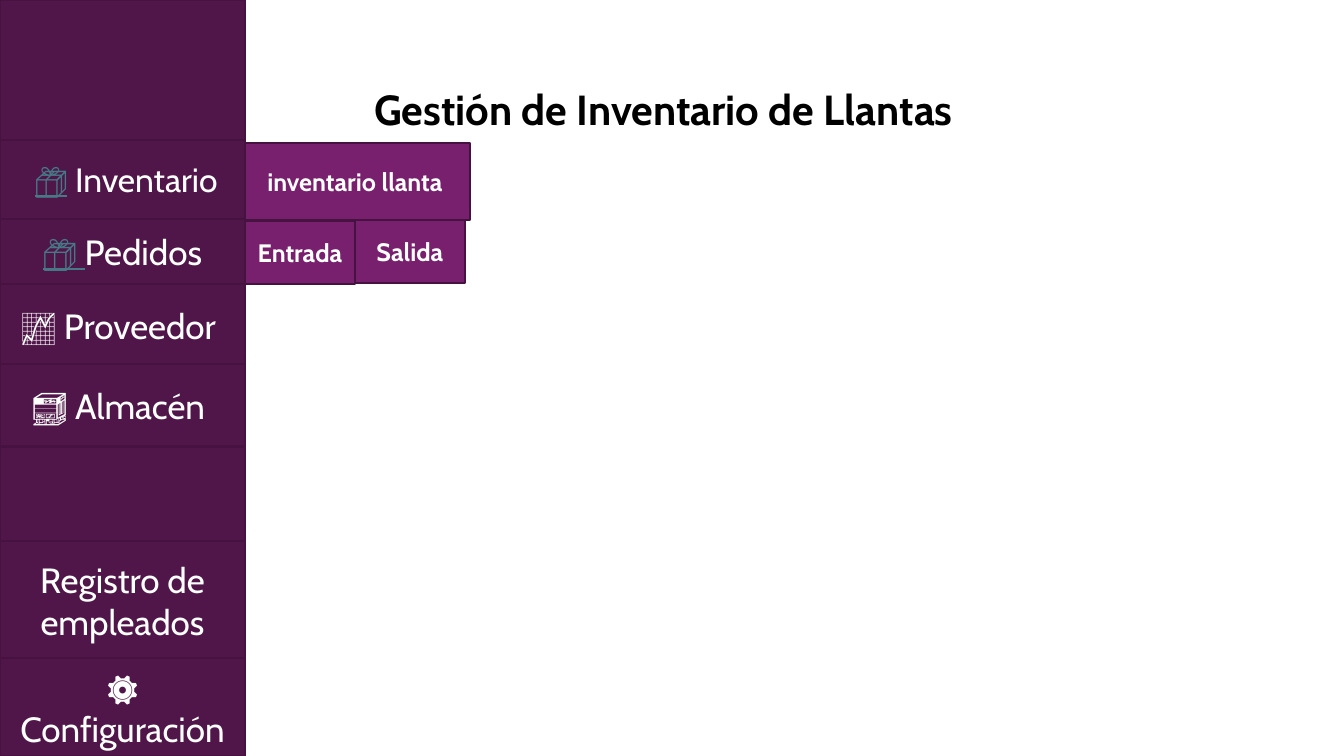
"""Build the tyre inventory slide with its side menu and submenus."""
from pptx import Presentation
from pptx.dml.color import RGBColor
from pptx.enum.shapes import MSO_SHAPE
from pptx.enum.text import MSO_ANCHOR, MSO_AUTO_SIZE, PP_ALIGN
from pptx.util import Inches, Pt

FONT = "Cabin"
BLACK = RGBColor(0x00, 0x00, 0x00)
WHITE = RGBColor(0xFF, 0xFF, 0xFF)
LINK_BLUE = RGBColor(0x46, 0x78, 0x86)
MENU_PURPLE = RGBColor(0x50, 0x16, 0x49)
SUBMENU_PURPLE = RGBColor(0x78, 0x20, 0x6E)
BORDER_PURPLE = RGBColor(0x46, 0x13, 0x40)
MENU_WIDTH = 2.43

MENU_ITEMS = [
    (2.17, 0.65, 25, ["📦 ", "Pedidos"]),
    (5.37, 1.17, 25, ["Registro de empleados"]),
    (6.53, 0.97, 25, ["⚙️ Configuración"]),
    (1.39, 0.78, 24, [" ", "📦", " Inventario"]),
    (2.82, 0.82, 25, ["📈 Proveedor "]),
    (3.61, 0.82, 25, ["🏬 Almacén "]),
]
SUBMENU_ITEMS = [
    (2.38, 1.42, 2.28, 0.76, "inventario llanta"),
    (2.43, 2.19, 1.09, 0.63, "Entrada"),
    (3.52, 2.18, 1.09, 0.63, "Salida"),
]


def style_run(run, size, color, bold=False):
    """Give a run its font, size and colour."""
    run.font.name = FONT
    run.font.size = Pt(size)
    run.font.bold = bold
    run.font.color.rgb = color


def add_title(slide, text):
    """Place and format the slide title."""
    title = slide.shapes.title
    title.left, title.top = Inches(3.61), Inches(0.78)
    title.width, title.height = Inches(6.36), Inches(0.61)
    frame = title.text_frame
    frame.text = text
    frame.vertical_anchor = MSO_ANCHOR.TOP
    frame.auto_size = MSO_AUTO_SIZE.SHAPE_TO_FIT_TEXT
    heading = frame.paragraphs[0]
    heading.alignment = PP_ALIGN.LEFT
    style_run(heading.runs[0], 30, BLACK, bold=True)


def add_panel(slide, left, top, width, height, fill):
    """Add a bordered rectangle and return it."""
    panel = slide.shapes.add_shape(
        MSO_SHAPE.RECTANGLE, Inches(left), Inches(top), Inches(width), Inches(height)
    )
    panel.shadow.inherit = False
    panel.fill.solid()
    panel.fill.fore_color.rgb = fill
    panel.line.color.rgb = BORDER_PURPLE
    panel.line.width = Pt(1.5)
    return panel


def add_label(panel, parts, size, bold=False):
    """Write centred text, with box icons underlined like links."""
    frame = panel.text_frame
    frame.word_wrap = True
    frame.vertical_anchor = MSO_ANCHOR.MIDDLE
    label = frame.paragraphs[0]
    label.alignment = PP_ALIGN.CENTER
    for part in parts:
        run = label.add_run()
        run.text = part
        linked = part.startswith("📦")
        style_run(run, size, LINK_BLUE if linked else WHITE, bold)
        run.font.underline = linked


def main():
    """Create the slide and save it."""
    deck = Presentation()
    deck.slide_width, deck.slide_height = Inches(13.33), Inches(7.5)
    slide = deck.slides.add_slide(deck.slide_layouts[5])
    add_title(slide, "Gestión de Inventario de Llantas")
    add_panel(slide, 0, 0, MENU_WIDTH, 7.5, MENU_PURPLE)
    for left, top, width, height, name in SUBMENU_ITEMS:
        option = add_panel(slide, left, top, width, height, SUBMENU_PURPLE)
        add_label(option, [name], 18, bold=True)
    for top, height, size, parts in MENU_ITEMS:
        entry = add_panel(slide, 0, top, MENU_WIDTH, height, MENU_PURPLE)
        add_label(entry, parts, size)
    deck.save("out.pptx")


if __name__ == "__main__":
    main()
